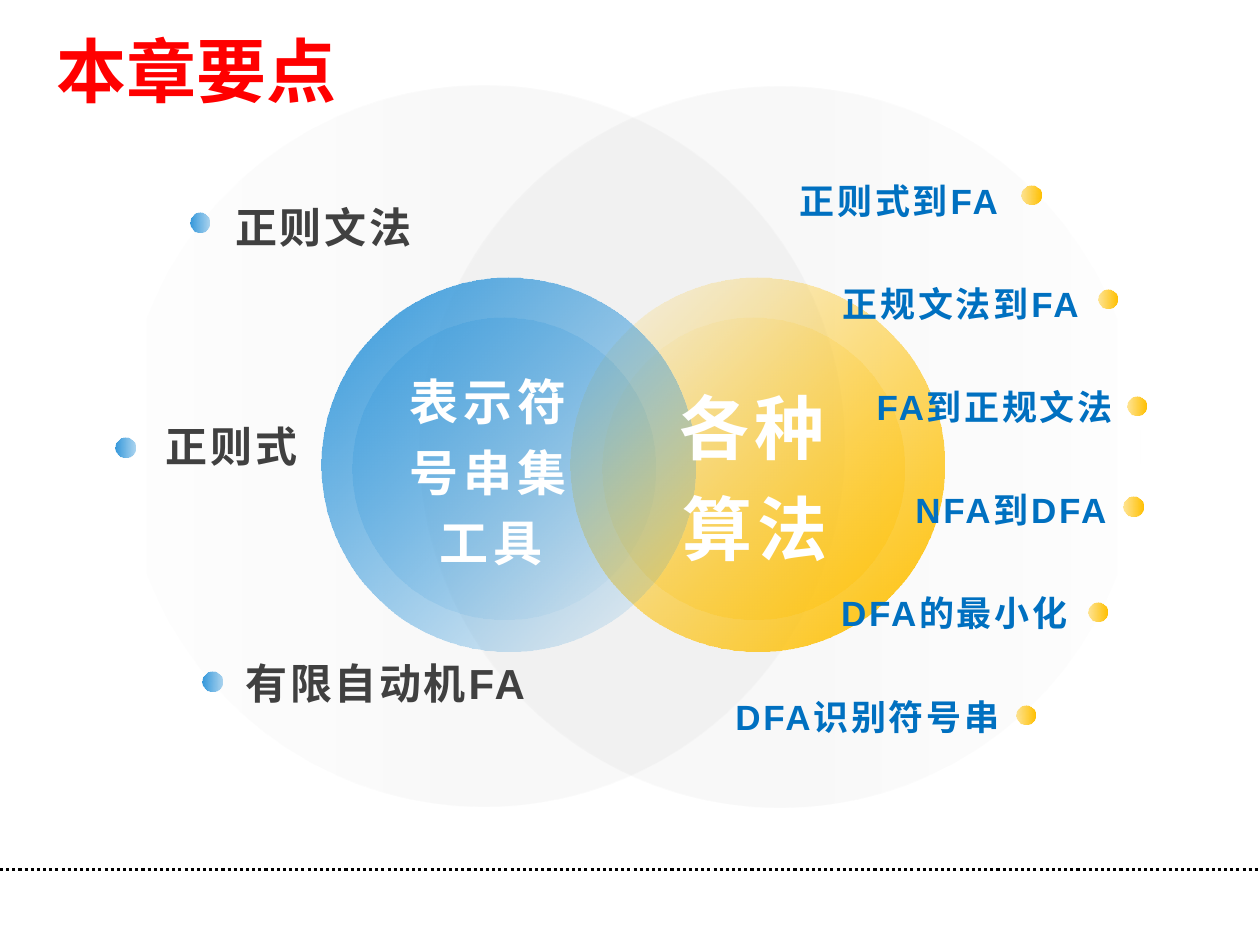
from collections import namedtuple

from pptx import Presentation
from pptx.dml.color import RGBColor
from pptx.enum.dml import MSO_LINE
from pptx.enum.lang import MSO_LANGUAGE_ID
from pptx.enum.shapes import MSO_CONNECTOR, MSO_SHAPE
from pptx.enum.text import MSO_ANCHOR, PP_ALIGN
from pptx.oxml.ns import qn
from pptx.util import Pt

OVAL = MSO_SHAPE.OVAL
STRAIGHT = MSO_CONNECTOR.STRAIGHT
DOTTED = MSO_LINE.ROUND_DOT
CHINESE = MSO_LANGUAGE_ID.SIMPLIFIED_CHINESE
TOP, MIDDLE = MSO_ANCHOR.TOP, MSO_ANCHOR.MIDDLE
LEFT, CENTER, RIGHT = PP_ALIGN.LEFT, PP_ALIGN.CENTER, PP_ALIGN.RIGHT

BLUE, AMBER, GRAY = "3498DB", "FFC000", "404040"
LINK_BLUE, WHITE, RED, BLACK = "0070C0", "FFFFFF", "FF0000", "000000"

Box = namedtuple("Box", "left top width height")


def color(value):
    return RGBColor.from_string(value)


def add_circle(page, box, fill, alphas, angle=0, end=1.0):
    circle = page.shapes.add_shape(OVAL, *map(Pt, box))
    circle.shadow.inherit = False
    circle.line.fill.background()
    circle.fill.gradient()
    circle.fill.gradient_angle = angle
    for stop, position, alpha in zip(circle.fill.gradient_stops, (0, end), alphas):
        stop.position = position
        stop.color.rgb = color(fill)
    tints = circle._element.spPr.iter(qn("a:srgbClr"))
    for tint, alpha in zip(list(tints), alphas):
        opacity = tint.makeelement(qn("a:alpha"), {"val": str(alpha * 1000)})
        tint.append(opacity)


def add_text(page, box, text, size, fill, align=LEFT, anchor=TOP, tracking=0, spacing=1.2):
    frame = page.shapes.add_textbox(*map(Pt, box)).text_frame
    frame.word_wrap = True
    frame.vertical_anchor = anchor
    para = frame.paragraphs[0]
    para.alignment = align
    para.line_spacing = spacing
    span = para.add_run()
    span.text = text
    span.font.name = "Arial"
    span.font.size = Pt(size)
    span.font.bold = True
    span.font.color.rgb = color(fill)
    span.font.language_id = CHINESE
    if tracking:
        span._r.get_or_add_rPr().set("spc", str(int(tracking * 100)))


def add_frame(page, box):
    rule_y = Pt(box.top + box.height * 0.92)
    rule = page.shapes.add_connector(
        STRAIGHT, Pt(box.left), rule_y, Pt(box.left + box.width), rule_y)
    rule.line.color.rgb = color(BLACK)
    rule.line.width = Pt(1.75)
    rule.line.dash_style = DOTTED
    properties = rule._element.spPr
    properties.append(properties.makeelement(qn("a:effectLst"), {}))
    title = Box(box.left + 25.2, box.top + 9.4, 181.4, 60.5)
    add_text(page, title, "本章要点", 40, RED, anchor=MIDDLE, spacing=1.0)


def add_venn(page, box):
    circles = [
        (0, 0, 412, GRAY, (0, 3), 0, 0.5),
        (169.2, 0.7, 412, GRAY, (0, 3), 180, 0.5),
        (131, 132.5, 172.8, BLUE, (35, 0), 315, 1.0),
        (273.6, 132.5, 172.8, AMBER, (0, 35), 315, 1.0),
        (255.6, 109.4, 213.8, AMBER, (0, 100), 315, 1.0),
        (113, 109.4, 213.8, BLUE, (100, 0), 315, 1.0),
    ]
    for x, y, size, fill, alphas, angle, end in circles:
        circle = Box(box.left + x, box.top + y, size, size)
        add_circle(page, circle, fill, alphas, angle, end)
    labels = [
        ("表示符号串集工具", 28, 150.5, 163.4, 118.8, 107.3),
        ("各种算法", 40, 308.2, 190, 105.1, 57.6),
    ]
    for text, size, x, y, width, height in labels:
        label = Box(box.left + x, box.top + y, width, height)
        add_text(page, label, text, size, WHITE, CENTER, MIDDLE, 3)


def add_tools(page, box):
    topics = [
        ("正则文法", 61.2, 0, 133.2, 42.5, 15.5),
        ("正则式", 21.6, 125.3, 105.1, 0, 144),
        ("有限自动机FA", 67, 260.6, 190.8, 49.7, 278),
    ]
    for text, x, y, width, dot_x, dot_y in topics:
        dot = Box(box.left + dot_x, box.top + dot_y, 11, 11.5)
        add_circle(page, dot, BLUE, (100, 39))
        label = Box(box.left + x, box.top + y, width, 34.6)
        add_text(page, label, text, 24, GRAY, tracking=1.5)


def add_algorithms(page, box):
    topics = [
        ("正则式到FA", 180, 138.2, 186.5, 11.5),
        ("正规文法到FA", 226.1, 161.3, 230.4, 12.3),
        ("FA到正规文法", 245.5, 161.3, 247, 14.4),
        ("NFA到DFA", 242, 161.3, 244.8, 13),
        ("DFA的最小化", 219.6, 161.3, 224.7, 14.4),
        ("DFA识别符号串", 180.7, 180.7, 183.6, 14.4),
    ]
    pitch = box.height / len(topics)
    for row, (text, right, width, dot_x, dot_y) in enumerate(topics):
        top = box.top + row * pitch
        add_circle(page, Box(box.left + dot_x, top + dot_y, 11, 11), AMBER, (100, 40), 180)
        label = Box(box.left + right - width, top, width, 34.6)
        add_text(page, label, text, 20, LINK_BLUE, RIGHT, tracking=1.5)


def main():
    deck = Presentation()
    deck.slide_width, deck.slide_height = Pt(720), Pt(540)
    page = deck.slides.add_slide(deck.slide_layouts[6])
    add_frame(page, Box(0, 0, 720, 540))
    add_venn(page, Box(70.5, 49, 581.2, 412.7))
    add_tools(page, Box(66.2, 105.8, 258, 295))
    add_algorithms(page, Box(397.4, 94.3, 258, 353.4))
    deck.save("out.pptx")


if __name__ == "__main__":
    main()
